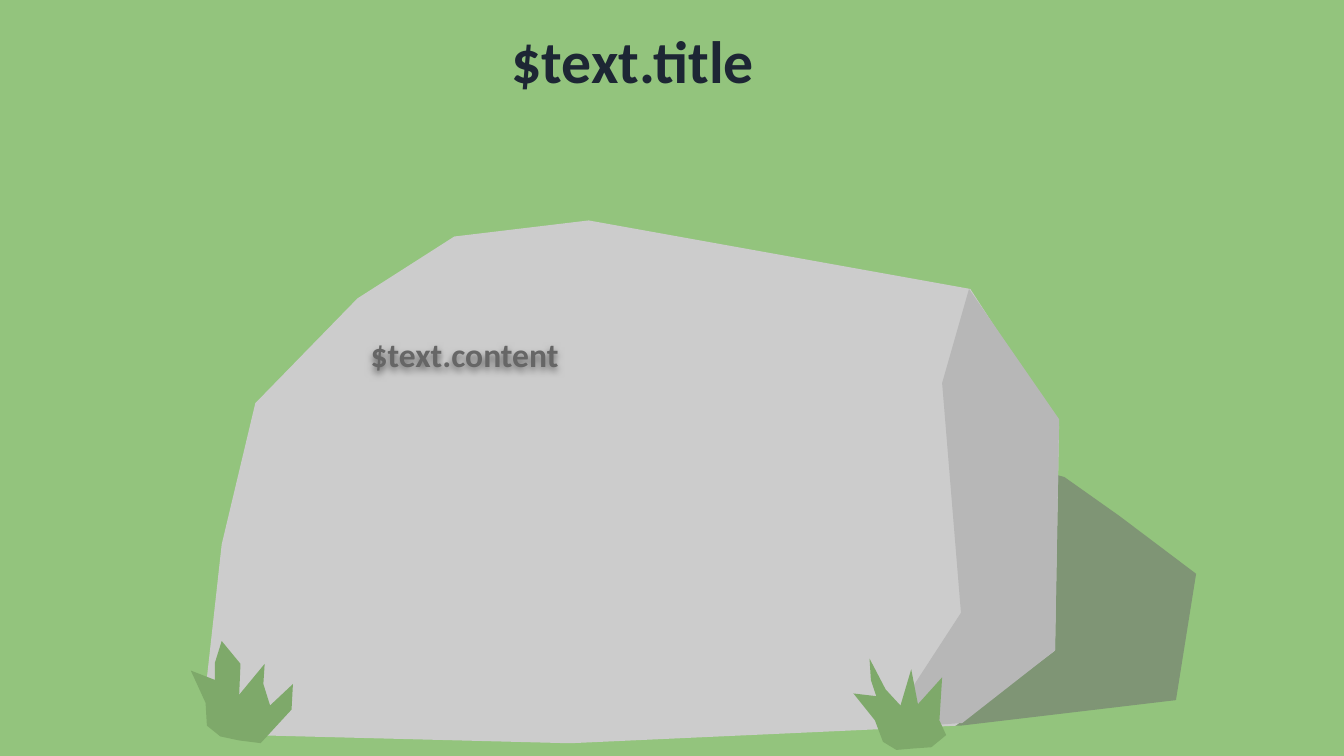
from lxml.etree import SubElement
from pptx import Presentation
from pptx.dml.color import RGBColor
from pptx.enum.text import MSO_ANCHOR, PP_ALIGN
from pptx.oxml.ns import qn
from pptx.util import Inches, Pt

COLS, ROWS = 1000, 562.5
CELL = Inches(10) // COLS
INK = {
    "grass": "93C47D", "shade": "7F9575", "front": "CCCCCC", "side": "B7B7B7",
    "tuft": "7EA96A", "title": "1D2634", "body": "666666", "blur": "000000",
}
SHADE = [(253, 0), (404, 20), (548, 59), (589, 88), (646, 131), (631, 225),
         (471, 244), (250, 247), (17, 237), (0, 194), (26, 91), (134, 30)]
FRONT = [(185, 12), (113, 58), (37, 136), (12, 241), (0, 349), (35, 383),
         (271, 389), (558, 376), (632, 320), (635, 153), (569, 51), (285, 0)]
SIDE = [(62, 0), (42, 70), (56, 241), (0, 327), (57, 323), (126, 269), (129, 97)]
LEFT = [(75, 51), (76, 32), (59, 48), (54, 32), (55, 17), (36, 40), (37, 17),
        (23, 0), (18, 16), (18, 29), (0, 22), (11, 46), (12, 63), (22, 71),
        (36, 74), (52, 76)]
RIGHT = [(69, 57), (64, 46), (66, 14), (48, 34), (43, 8), (35, 35), (24, 23),
         (12, 0), (13, 16), (17, 28), (0, 26), (16, 46), (22, 62), (32, 68),
         (44, 67), (58, 66)]


def color(name):
    """Return the named colour."""
    return RGBColor.from_string(INK[name])


def facet(slide, left, top, points, ink):
    """Draw one flat polygon whose points are cells from its corner."""
    pen = slide.shapes.build_freeform(*points[0], scale=CELL)
    pen.add_line_segments(points[1:], close=True)
    shape = pen.convert_to_shape(left * CELL, top * CELL)
    shape.shadow.inherit = False
    shape.fill.solid()
    shape.fill.fore_color.rgb = color(ink)
    shape.line.fill.background()


def write(slide, box, text, size, ink):
    """Place one bold line of text in a box and return the shape."""
    shape = slide.shapes.add_textbox(*(round(n * CELL) for n in box))
    frame = shape.text_frame
    frame.word_wrap = True
    frame.vertical_anchor = MSO_ANCHOR.TOP
    frame.margin_left = frame.margin_right = Inches(0.1)
    frame.margin_top = frame.margin_bottom = Inches(0.1)
    run = frame.paragraphs[0].add_run()
    run.text = text
    run.font.name, run.font.size, run.font.bold = "Calibri", Pt(size), True
    run.font.color.rgb = color(ink)
    return shape


def title(slide, box):
    """Write the centred heading."""
    para = write(slide, box, "$text.title", 32, "title").text_frame.paragraphs[0]
    para.alignment = PP_ALIGN.CENTER
    para.line_spacing = 0.9


def rock(slide, left, top):
    """Draw the front and the side of the rock."""
    facet(slide, left, top, FRONT, "front")
    facet(slide, left + 506, top + 51, SIDE, "side")


def body(slide, box):
    """Write the text on the rock with a soft shadow."""
    shape = write(slide, box, "$text.content", 18, "body")
    effects = SubElement(shape._element.spPr, qn("a:effectLst"))
    glow = SubElement(effects, qn("a:outerShdw"), blurRad=str(Pt(4)),
                      dist=str(Pt(2)), dir="5400000", algn="bl", rotWithShape="0")
    tone = SubElement(glow, qn("a:srgbClr"), val=INK["blur"])
    SubElement(tone, qn("a:alpha"), val="50000")


def main():
    """Build the slide and save it."""
    deck = Presentation()
    deck.slide_width, deck.slide_height = COLS * CELL, int(ROWS * CELL)
    slide = deck.slides.add_slide(deck.slide_layouts[6])
    slide.background.fill.solid()
    slide.background.fill.fore_color.rgb = color("grass")
    facet(slide, 244, 296, SHADE, "shade")
    title(slide, (112.5, 14, 717, 73))
    rock(slide, 153, 164)
    for left, top, blades in ((142, 477, LEFT), (635, 490, RIGHT)):
        facet(slide, left, top, blades, "tuft")
    body(slide, (266, 238.4, 410, 303))
    deck.save("out.pptx")


if __name__ == "__main__":
    main()
